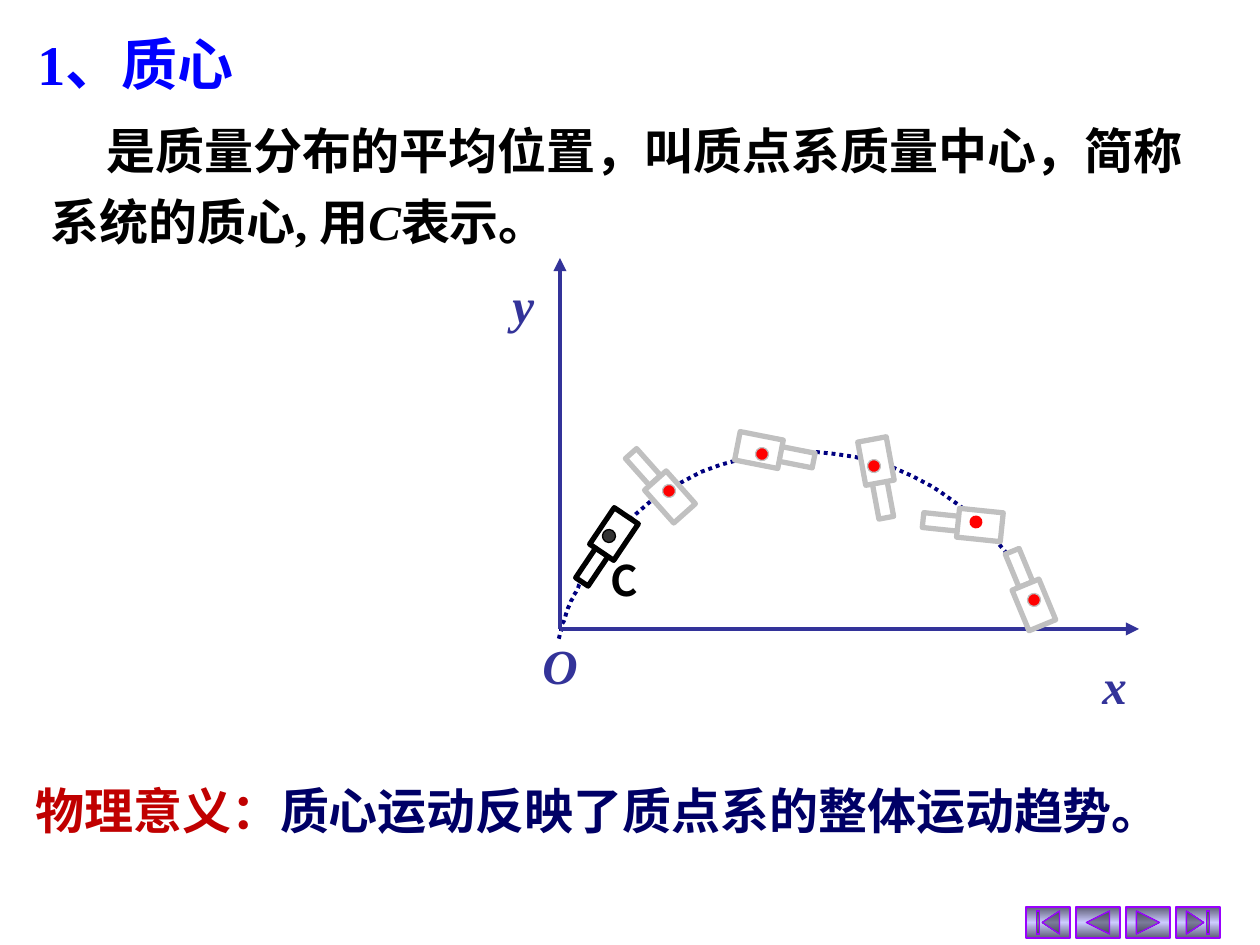
import pptx
import pptx.dml.color
import pptx.enum.dml
import pptx.enum.shapes
import pptx.enum.text
import pptx.oxml
import pptx.oxml.ns
import pptx.util

PX = 914400 / 126  # EMU in one px
SERIF = "Times New Roman"
SANS = "Noto Sans CJK SC"
AXIS = "333399"
GREY = "C0C0C0"
SHAPE = pptx.enum.shapes.MSO_SHAPE
NS = pptx.oxml.ns.nsdecls("a")


def emu(px):
    return pptx.util.Emu(round(px * PX))


def rgb(color):
    return pptx.dml.color.RGBColor.from_string(color)


def set_line(sp, color, width):
    if color is None:
        sp.line.fill.background()
    else:
        sp.line.color.rgb = rgb(color)
        sp.line.width = pptx.util.Pt(width)


def add_text(slide, box, runs, size=28, font=SERIF, color="000000",
             italic=False, spacing=None, indent=0):
    """Runs are strings, or (string, format changes) pairs."""
    tf = slide.shapes.add_textbox(*map(emu, box)).text_frame
    tf.word_wrap = True
    tf.auto_size = pptx.enum.text.MSO_AUTO_SIZE.SHAPE_TO_FIT_TEXT
    p = tf.paragraphs[0]
    if spacing:
        p.line_spacing = spacing
    if indent:
        p._p.get_or_add_pPr().set("indent", str(emu(indent)))
    for run in runs:
        text, changes = (run, {}) if isinstance(run, str) else run
        r = p.add_run()
        r.text = text
        r.font.size = pptx.util.Pt(size)
        r.font.bold = True
        r.font.italic = changes.get("italic", italic)
        r.font.name = font
        r.font.color.rgb = rgb(changes.get("color", color))
        r.font._element.find(pptx.oxml.ns.qn("a:latin")).addnext(
            pptx.oxml.parse_xml(f'<a:ea {NS} typeface="{SANS}"/>'))


def add_part(slide, kind, center, size, angle, fill, line, width):
    """Add a rotated shape placed by its centre."""
    (x, y), (w, h) = center, size
    sp = slide.shapes.add_shape(
        kind, emu(x - w / 2), emu(y - h / 2), emu(w), emu(h))
    sp.rotation = angle
    sp.shadow.inherit = False
    sp.fill.solid()
    sp.fill.fore_color.rgb = rgb(fill)
    set_line(sp, line, width)


def add_hammer(slide, angle, handle, head, dot, line=GREY, dot_fill="FF0000",
               dot_line=GREY):
    add_part(slide, SHAPE.RECTANGLE, handle, (36, 15), angle, "FFFFFF", line, 3)
    add_part(slide, SHAPE.RECTANGLE, head, (44, 29), angle, "FFFFFF", line, 3)
    add_part(slide, SHAPE.OVAL, dot, (13, 13), angle, dot_fill, dot_line, 0.75)


def add_axis(slide, start, end):
    cx = slide.shapes.add_connector(
        pptx.enum.shapes.MSO_CONNECTOR.STRAIGHT, *map(emu, start + end))
    set_line(cx, AXIS, 2.5)
    cx.line._get_or_add_ln().append(
        pptx.oxml.parse_xml(f'<a:tailEnd {NS} type="triangle"/>'))
    cx._element.spPr.append(pptx.oxml.parse_xml(f"<a:effectLst {NS}/>"))


def bezier(p0, p1, p2, p3, steps=20):
    for i in range(1, steps + 1):
        t = i / steps
        u = 1 - t
        yield tuple(u**3 * a + 3 * u * u * t * b + 3 * u * t * t * c + t**3 * d
                    for a, b, c, d in zip(p0, p1, p2, p3))


def add_trajectory(slide, knots):
    """Draw a dotted chain of cubic curves; every third knot is on the curve."""
    fb = slide.shapes.build_freeform(*knots[0], scale=PX)
    for i in range(0, len(knots) - 1, 3):
        fb.add_line_segments(list(bezier(*knots[i:i + 4])), close=False)
    sp = fb.convert_to_shape()
    sp.shadow.inherit = False
    sp.fill.background()
    set_line(sp, "000080", 2.25)
    sp.line.dash_style = pptx.enum.dml.MSO_LINE.ROUND_DOT


def add_button(slide, kind, x):
    sp = slide.shapes.add_shape(kind, *map(emu, (x, 907, 44, 31)))
    sp.shadow.inherit = False
    set_line(sp, "9900FF", 0.75)
    stops = "".join(
        f'<a:gs pos="{pos}"><a:srgbClr val="{color}"/></a:gs>'
        for pos, color in ((0, "5E5E76"), (50000, "CCCCFF"), (100000, "5E5E76")))
    sp._element.spPr.find(pptx.oxml.ns.qn("a:prstGeom")).addnext(
        pptx.oxml.parse_xml(f'<a:gradFill {NS}><a:gsLst>{stops}</a:gsLst>'
                            '<a:lin ang="5400000" scaled="1"/></a:gradFill>'))


def main():
    prs = pptx.Presentation()
    prs.slide_width, prs.slide_height = emu(1260), emu(945)
    slide = prs.slides.add_slide(prs.slide_layouts[6])

    # Navigation buttons
    buttons = (SHAPE.ACTION_BUTTON_BEGINNING,
               SHAPE.ACTION_BUTTON_BACK_OR_PREVIOUS,
               SHAPE.ACTION_BUTTON_FORWARD_OR_NEXT, SHAPE.ACTION_BUTTON_END)
    for i, kind in enumerate(buttons):
        add_button(slide, kind, 1026 + 50 * i)

    # Heading, definition and meaning
    add_text(slide, (25, 10, 1183, 95), ["1、质心"], size=32, color="0000FF",
             spacing=1.2)
    add_text(slide, (38, 103, 1183, 155),
             ["是质量分布的平均位置，叫质点系质量中心，简称系统的质心, 用",
              ("C", {"italic": True}), "表示。"], spacing=1.2, indent=56)
    add_text(slide, (23, 774, 1215, 72),
             ["物理意义：",
              ("质心运动反映了质点系的整体运动趋势。", {"color": "000066"})],
             font=SANS, color="C00000")

    # Path of the centre of mass
    add_text(slide, (598, 548, 43, 63), ["C"], size=24, font=SANS)
    add_trajectory(slide, [(1041, 615), (1021, 563), (983, 517), (931, 486),
                           (809, 416), (654, 456), (585, 576),
                           (572, 596), (563, 619), (558, 641)])

    # First hammer, then the axes
    add_hammer(slide, 304, (592, 567), (614, 534), (609, 536),
               line="000000", dot_fill="333333", dot_line="000000")
    origin = (560, 629)
    add_axis(slide, origin, (1139, 629))
    add_axis(slide, origin, (560, 258))
    for label, x, y, w in (("O", 530, 629, 47), ("x", 1090, 649, 59),
                           ("y", 500, 268, 49)):
        add_text(slide, (x, y, w, 72), [label], color=AXIS, italic=True)

    # Later positions of the hammer
    add_hammer(slide, 48.3, (643, 467), (670, 497), (669, 491))
    add_hammer(slide, 191.1, (796, 457), (759, 450), (762, 454))
    add_hammer(slide, 259.5, (883, 500), (876, 461), (874, 466))
    add_hammer(slide, 5.9, (941, 522), (980, 525), (976, 522), dot_line=None)
    add_hammer(slide, 67.5, (1019, 568), (1034, 605), (1034, 600))

    prs.save("out.pptx")


if __name__ == "__main__":
    main()
